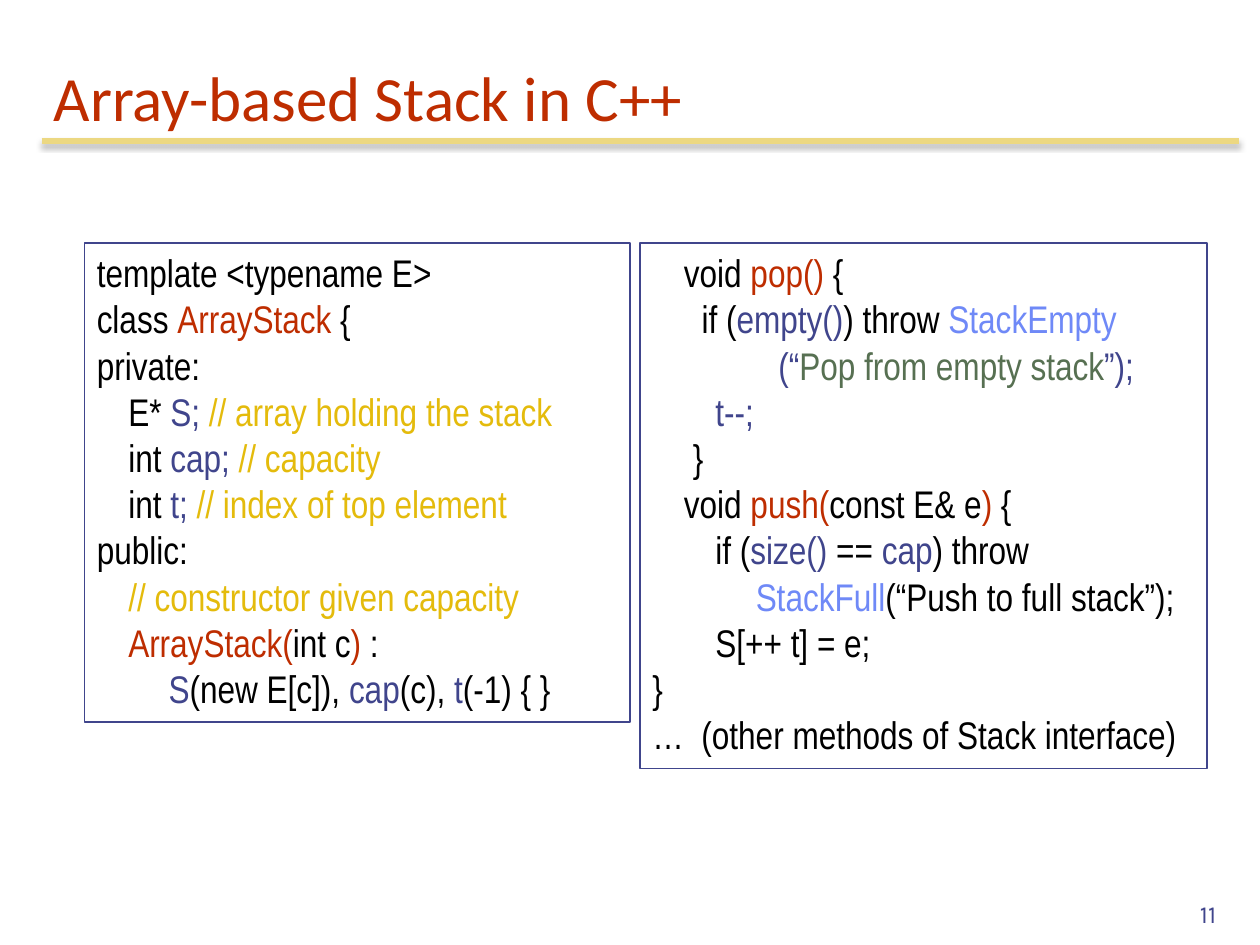
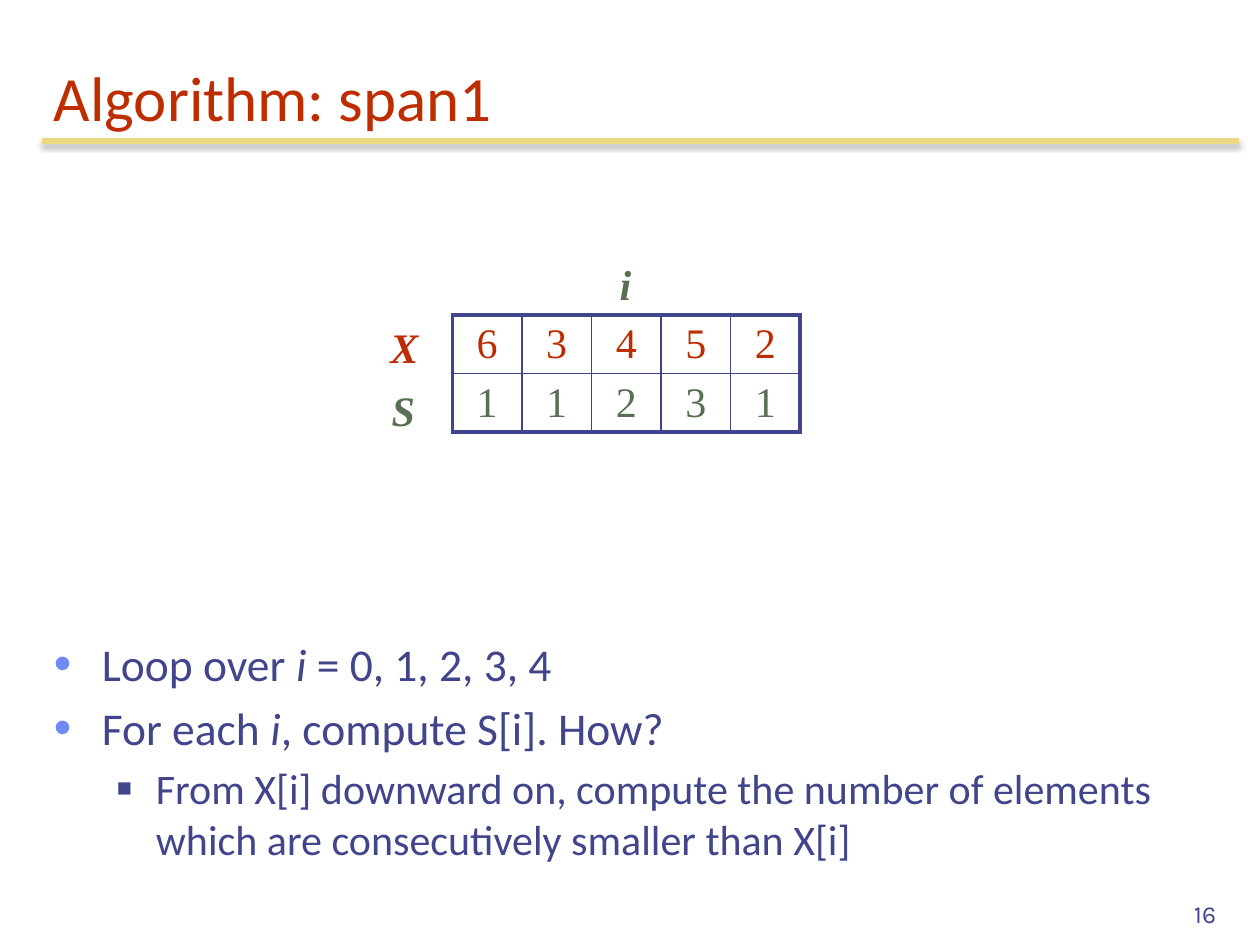
import lxml.etree
import pptx
import pptx.dml.color
import pptx.enum.shapes
import pptx.enum.text
import pptx.oxml
import pptx.oxml.ns
import pptx.util

Inches = pptx.util.Inches
Pt = pptx.util.Pt
Align = pptx.enum.text.PP_ALIGN
Anchor = pptx.enum.text.MSO_ANCHOR

RED, NAVY, GREEN = "BE2D00", "40458C", "577052"
BLUE, GOLD, BLACK = "6F89F7", "E4BB0C", "000000"
RULE = "ECD882"
BODY_FONT, CODE_FONT, MATH_FONT, NUMBER_FONT = "Calibri", "Arial Narrow", "Times New Roman", "Karla"
TAB = 0.25
SPACE = 0.07

CLASS_CODE = [
    (0, [("template <typename E>", BLACK)]),
    (0, [("class ", BLACK), ("ArrayStack", RED), (" {", BLACK)]),
    (0, [("private:", BLACK)]),
    (TAB, [("E*", BLACK), (" S;", NAVY), (" // array holding the stack", GOLD)]),
    (TAB, [("int", BLACK), (" cap;", NAVY), (" // capacity", GOLD)]),
    (TAB, [("int", BLACK), (" t;", NAVY), (" // index of top element", GOLD)]),
    (0, [("public:", BLACK)]),
    (TAB, [("// constructor given capacity", GOLD)]),
    (TAB, [("ArrayStack(", RED), ("int c", BLACK), (") ", RED), (":", BLACK)]),
    (2 * TAB + SPACE, [("S", NAVY), ("(new E[c]), ", BLACK), ("cap", NAVY), ("(c), ", BLACK),
                       ("t", NAVY), ("(-1) { }", BLACK)]),
]

METHOD_CODE = [
    (TAB, [("void ", BLACK), ("pop()", RED), (" {", BLACK)]),
    (TAB + 2 * SPACE, [("if (", BLACK), ("empty()", NAVY), (") throw ", BLACK), ("StackEmpty", BLUE)]),
    (4 * TAB, [("(“", NAVY), ("Pop from empty stack", GREEN), ("”);", NAVY)]),
    (2 * TAB, [("t--;", NAVY)]),
    (TAB + SPACE, [("}", BLACK)]),
    (TAB, [("void ", BLACK), ("push(", RED), ("const E& e", BLACK), (")", RED), (" {", BLACK)]),
    (2 * TAB, [("if (", BLACK), ("size() ", NAVY), ("== ", BLACK), ("cap", NAVY), (") throw", BLACK)]),
    (3 * TAB + SPACE, [("StackFull", BLUE), ("(“Push to full stack”);", BLACK)]),
    (2 * TAB, [("S[++ t] = e;", BLACK)]),
    (0, [("}", BLACK)]),
    (0, [("…  (other methods of Stack interface)", BLACK)]),
]

BULLETS = [
    (0, [("Loop over ", False), ("i", True), (" = 0, 1, 2, 3, 4", False)]),
    (0, [("For each ", False), ("i", True), (", compute S[i]. How?", False)]),
    (1, [("From X[i] downward on, compute the number of elements "
          "which are consecutively smaller than X[i]", False)]),
]
BULLET_LEVELS = [
    dict(size=26, left=0.38, hang=0.38, mark="•", color=BLUE, percent=110),
    dict(size=24, left=0.81, hang=0.31, mark="■", color=NAVY, percent=60),
]

SPAN_ROWS = [(RED, [6, 3, 4, 5, 2]), (GREEN, [1, 1, 2, 3, 1])]


def rgb(color):
    return pptx.dml.color.RGBColor.from_string(color)


def add_xml(parent, tag, **attributes):
    element = lxml.etree.SubElement(parent, pptx.oxml.ns.qn(tag))
    for name, value in attributes.items():
        element.set(name, str(value))
    return element


def add_span(para, text, font, size, color, bold=False, italic=False):
    span = para.add_run()
    span.text = text
    span.font.name = font
    span.font.size = Pt(size)
    span.font.bold = bold
    span.font.italic = italic
    span.font.color.rgb = rgb(color)


def next_para(frame, index):
    return frame.add_paragraph() if index else frame.paragraphs[0]


def set_indent(para, left, first=0):
    properties = para._p.get_or_add_pPr()
    properties.set("marL", str(Inches(left)))
    properties.set("indent", str(Inches(first)))
    return properties


def add_box(page, left, top, width, height, anchor=Anchor.TOP, wrap=True):
    box = page.shapes.add_textbox(Inches(left), Inches(top), Inches(width), Inches(height))
    box.text_frame.word_wrap = wrap
    box.text_frame.vertical_anchor = anchor
    return box


def add_rule(page):
    rule = page.shapes.add_connector(pptx.enum.shapes.MSO_CONNECTOR.STRAIGHT,
                                     Inches(0.33), Inches(1.12), Inches(9.83), Inches(1.12))
    rule.line.color.rgb = rgb(RULE)
    rule.line.width = Pt(3)
    effects = add_xml(rule._element.spPr, "a:effectLst")
    shadow = add_xml(effects, "a:outerShdw", blurRad=Pt(3.1), dist=Pt(1.8), dir=5400000, rotWithShape=0)
    add_xml(add_xml(shadow, "a:srgbClr", val=BLACK), "a:alpha", val=35000)


def add_page(deck, title, number):
    page = deck.slides.add_slide(deck.slide_layouts[6])
    add_rule(page)
    title_box = add_box(page, 0.33, 0.33, 9.5, 0.78, Anchor.BOTTOM)
    add_span(title_box.text_frame.paragraphs[0], title, BODY_FONT, 36, RED)
    number_box = add_box(page, 7.67, 6.92, 2.08, 0.5, Anchor.BOTTOM)
    para = number_box.text_frame.paragraphs[0]
    para.alignment = Align.RIGHT
    add_span(para, str(number), NUMBER_FONT, 14, NAVY)
    return page


def add_code(page, left, width, height, lines):
    box = page.shapes.add_shape(pptx.enum.shapes.MSO_SHAPE.RECTANGLE,
                                Inches(left), Inches(1.93), Inches(width), Inches(height))
    box.shadow.inherit = False
    box.fill.background()
    box.line.color.rgb = rgb(NAVY)
    box.line.width = Pt(0.75)
    frame = box.text_frame
    frame.word_wrap = True
    frame.vertical_anchor = Anchor.TOP
    for index, (indent, spans) in enumerate(lines):
        para = next_para(frame, index)
        para.alignment = Align.LEFT
        set_indent(para, indent)
        for text, color in spans:
            add_span(para, text, CODE_FONT, 22, color)


def add_bullets(page):
    frame = add_box(page, 0.33, 5, 9.5, 1.92).text_frame
    for index, (level, spans) in enumerate(BULLETS):
        style = BULLET_LEVELS[level]
        para = next_para(frame, index)
        para.level = level
        para.space_before = Pt(style["size"] * 0.2)
        properties = set_indent(para, style["left"], -style["hang"])
        add_xml(add_xml(properties, "a:buClr"), "a:srgbClr", val=style["color"])
        add_xml(properties, "a:buSzPct", val=style["percent"] * 1000)
        add_xml(properties, "a:buFont", typeface="Arial")
        add_xml(properties, "a:buChar", char=style["mark"])
        for text, italic in spans:
            add_span(para, text, BODY_FONT, style["size"], NAVY, italic=italic)


def set_borders(cell, outer_sides):
    properties = cell._tc.get_or_add_tcPr()
    for side in "LRTB":
        width = Pt(2.25 if side in outer_sides else 1)
        line = add_xml(properties, "a:ln" + side, w=width)
        add_xml(add_xml(line, "a:solidFill"), "a:srgbClr", val=NAVY)


def add_span_table(page):
    columns = len(SPAN_ROWS[0][1])
    table = page.shapes.add_table(len(SPAN_ROWS), columns, Inches(3.59), Inches(2.5),
                                  Inches(2.76), Inches(0.93)).table
    table.first_row = False
    table.horz_banding = False
    for row, (color, values) in enumerate(SPAN_ROWS):
        for column, value in enumerate(values):
            cell = table.cell(row, column)
            outer = {"T" if row == 0 else "B"}
            if column == 0:
                outer.add("L")
            if column == columns - 1:
                outer.add("R")
            set_borders(cell, outer)
            cell.fill.background()
            cell.vertical_anchor = Anchor.MIDDLE
            cell.margin_top = cell.margin_bottom = Inches(0.03)
            para = cell.text_frame.paragraphs[0]
            para.alignment = Align.CENTER
            add_span(para, str(value), MATH_FONT, 24, color)


def add_label(page, text, left, top, width, color):
    box = add_box(page, left, top, width, 0.5, wrap=False)
    add_span(box.text_frame.paragraphs[0], text, MATH_FONT, 24, color, bold=True, italic=True)


def main():
    deck = pptx.Presentation()
    deck.slide_width = Inches(10)
    deck.slide_height = Inches(7.5)

    stack_page = add_page(deck, "Array-based Stack in C++", 11)
    add_code(stack_page, 0.67, 4.33, 3.8, CLASS_CODE)
    add_code(stack_page, 5.08, 4.5, 4.17, METHOD_CODE)

    span_page = add_page(deck, "Algorithm: span1", 16)
    add_bullets(span_page)
    add_span_table(span_page)
    add_label(span_page, "X", 3, 2.5, 0.42, RED)
    add_label(span_page, "S", 3.01, 3, 0.39, GREEN)
    add_label(span_page, "i", 4.82, 2, 0.29, GREEN)

    deck.save("out.pptx")


if __name__ == "__main__":
    main()
